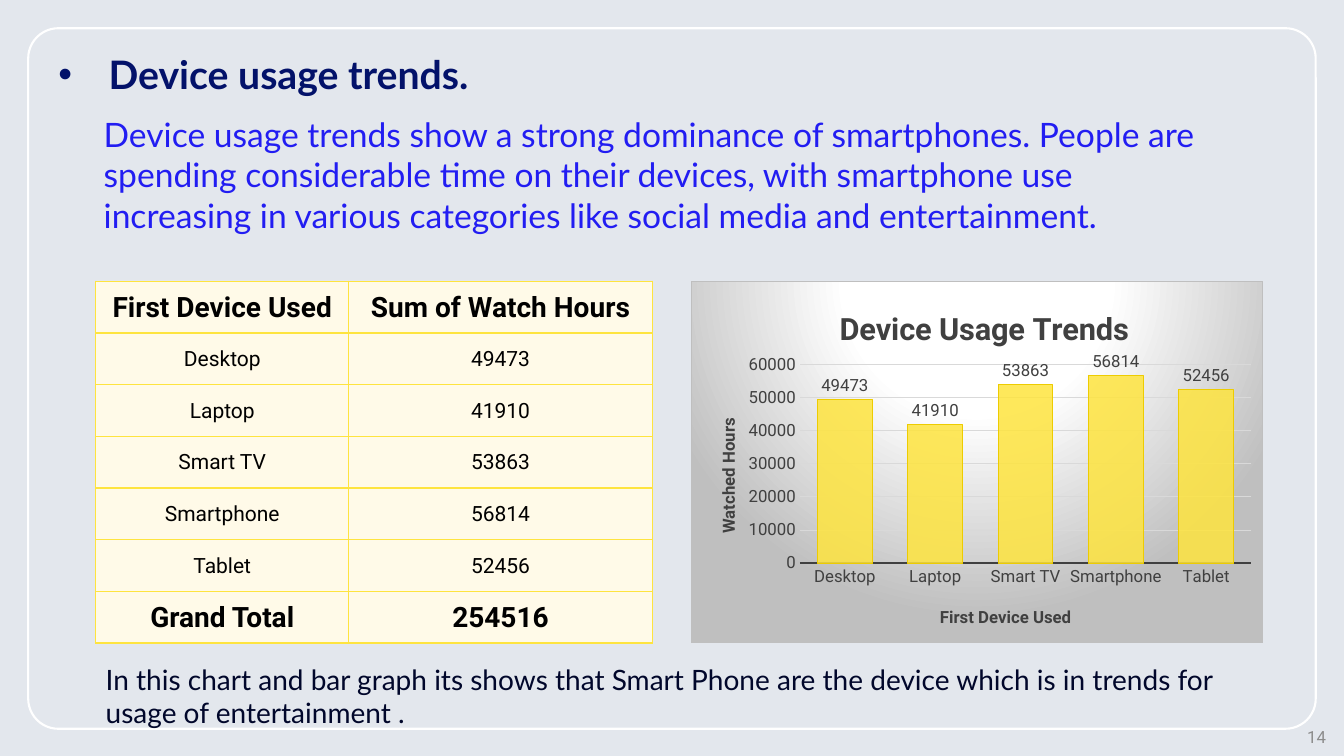
import pptx
import pptx.chart.data
import pptx.dml.color
import pptx.enum.chart
import pptx.enum.shapes
import pptx.enum.text
import pptx.oxml
import pptx.oxml.ns
import pptx.util

Inches = pptx.util.Inches
Pt = pptx.util.Pt
qn = pptx.oxml.ns.qn
Align = pptx.enum.text.PP_ALIGN
Anchor = pptx.enum.text.MSO_ANCHOR

COLOURS = {
    "background": "E3E7ED", "frame": "FFFFFF", "number": "8C8C8C",
    "heading": "03126A", "summary": "221DF2", "note": "01072B",
    "cell": "FFFAE8", "border": "FEE43F", "black": "000000",
    "chart_text": "404040", "grid": "D9D9D9", "chart_edge": "BFBFBF",
    "bar": "FEE43F", "bar_edge": "EDCC01",
}
WATCH_HOURS = {"Desktop": 49473, "Laptop": 41910, "Smart TV": 53863,
               "Smartphone": 56814, "Tablet": 52456}


def colour(name):
    return pptx.dml.color.RGBColor.from_string(COLOURS[name])


def xml(tag, attributes="", inner=""):
    spaces = pptx.oxml.ns.nsdecls("a", "c")
    return pptx.oxml.parse_xml(f"<{tag} {spaces} {attributes}>{inner}</{tag}>")


def set_font(font, size, ink, face="Roboto", bold=False):
    font.size = Pt(size)
    font.name = face
    font.bold = bold
    font.color.rgb = colour(ink)


def set_line(line, ink, width):
    line.color.rgb = colour(ink)
    line.width = Pt(width)


def write(frame, text, align=Align.LEFT, bullet=None, **style):
    para = frame.paragraphs[0]
    para.alignment = align
    if bullet:
        properties = para._p.get_or_add_pPr()
        properties.set("marL", str(Inches(0.5)))
        properties.set("indent", str(-Inches(0.5)))
        properties.append(xml("a:buFont", 'typeface="Arial"'))
        properties.append(xml("a:buChar", f'char="{bullet}"'))
    span = para.add_run()
    span.text = text
    set_font(span.font, **style)


def add_text(page, box, text, anchor=Anchor.TOP, **style):
    frame = page.shapes.add_textbox(*map(Inches, box)).text_frame
    frame.word_wrap = True
    frame.vertical_anchor = anchor
    write(frame, text, **style)


def add_frame(page, box):
    shape = page.shapes.add_shape(
        pptx.enum.shapes.MSO_SHAPE.ROUNDED_RECTANGLE, *map(Inches, box))
    shape.adjustments[0] = 0.043
    shape.shadow.inherit = False
    shape.fill.background()
    set_line(shape.line, "frame", 1.5)


def style_cell(cell):
    cell.margin_left = cell.margin_right = cell.margin_top = Inches(0.01)
    cell.margin_bottom = 0
    cell.vertical_anchor = Anchor.MIDDLE
    ink = f'<a:solidFill><a:srgbClr val="{COLOURS["border"]}"/></a:solidFill>'
    for side in "LRTB":
        cell._tc.get_or_add_tcPr().append(xml(f"a:ln{side}", f'w="{Pt(1)}"', ink))
    cell.fill.solid()
    cell.fill.fore_color.rgb = colour("cell")


def add_hours_table(page, box):
    rows = [("First Device Used", "Sum of Watch Hours"), *WATCH_HOURS.items(),
            ("Grand Total", sum(WATCH_HOURS.values()))]
    table = page.shapes.add_table(len(rows), 2, *map(Inches, box)).table
    for column, width in zip(table.columns, (2.51, box[2] - 2.51)):
        column.width = Inches(width)
    for index, values in enumerate(rows):
        strong = index in (0, len(rows) - 1)
        for cell, value in zip(table.rows[index].cells, values):
            style_cell(cell)
            write(cell.text_frame, str(value), align=Align.CENTER,
                  size=20 if strong else 15, ink="black", bold=strong)


def place(element, position, left, top, size=None):
    parts = {"xMode": "edge", "yMode": "edge", "x": left, "y": top}
    if size:
        parts = {"layoutTarget": "inner", **parts, "w": size[0], "h": size[1]}
    inner = "".join(f'<c:{key} val="{value}"/>' for key, value in parts.items())
    for old in element.findall(qn("c:layout")):
        element.remove(old)
    element.insert(position, xml("c:layout", "", f"<c:manualLayout>{inner}</c:manualLayout>"))


def set_title(title, text, size, left, top):
    write(title.text_frame, text, align=Align.CENTER, size=size,
          ink="chart_text", bold=True)
    place(title._element, 1, left, top)


def set_axis(axis, text, left, top):
    axis.major_tick_mark = pptx.enum.chart.XL_TICK_MARK.NONE
    set_font(axis.tick_labels.font, 12, "chart_text")
    set_title(axis.axis_title, text, 12, left, top)


def fill_chart_area(chart):
    stops = "".join(
        f'<a:gs pos="{at * 1000}"><a:srgbClr val="{COLOURS[name]}"/></a:gs>'
        for at, name in ((0, "frame"), (39, "frame"), (100, "chart_edge")))
    edge = f'<a:solidFill><a:srgbClr val="{COLOURS["chart_edge"]}"/></a:solidFill>'
    area = xml("c:spPr", "", f'<a:gradFill><a:gsLst>{stops}</a:gsLst><a:path path="circle">'
               '<a:fillToRect l="50000" t="-80000" r="50000" b="180000"/></a:path>'
               f'</a:gradFill><a:ln w="{Pt(0.75)}">{edge}</a:ln>')
    chart._chartSpace.find(qn("c:chart")).addnext(area)


def add_hours_chart(page, box):
    data = pptx.chart.data.CategoryChartData()
    data.categories = list(WATCH_HOURS)
    data.add_series("Series 1", list(WATCH_HOURS.values()))
    chart = page.shapes.add_chart(pptx.enum.chart.XL_CHART_TYPE.COLUMN_CLUSTERED,
                                  *map(Inches, box), data).chart
    set_font(chart.font, 10, "black")
    chart.has_legend = False
    fill_chart_area(chart)
    set_title(chart.chart_title, "Device Usage Trends", 22, 0.25, 0.06)
    place(chart._chartSpace.find(".//" + qn("c:plotArea")), 0, 0.19, 0.23, (0.79, 0.55))

    set_axis(chart.category_axis, "First Device Used", 0.43, 0.89)
    set_line(chart.category_axis.format.line, "chart_text", 1.5)
    hours = chart.value_axis
    set_axis(hours, "Watched Hours", 0.04, 0.37)
    hours.axis_title.text_frame._txBody.bodyPr.set("rot", "-5400000")
    hours.format.line.fill.background()
    hours.minimum_scale, hours.maximum_scale, hours.major_unit = 0, 60000, 10000
    set_line(hours.major_gridlines.format.line, "grid", 0.75)

    plot = chart.plots[0]
    plot.gap_width = 65
    plot.vary_by_categories = False
    bars = plot.series[0]
    bars.format.fill.solid()
    bars.format.fill.fore_color.rgb = colour("bar")
    bars.format.fill._xPr.find(".//" + qn("a:srgbClr")).append(xml("a:alpha", 'val="85000"'))
    set_line(bars.format.line, "bar_edge", 0.75)
    labels = bars.data_labels
    labels.show_value = True
    labels.position = pptx.enum.chart.XL_LABEL_POSITION.OUTSIDE_END
    set_font(labels.font, 12, "chart_text")


def add_device_page(deck):
    page = deck.slides.add_slide(deck.slide_layouts[6])
    page.background.fill.solid()
    page.background.fill.fore_color.rgb = colour("background")
    add_frame(page, (0.28, 0.28, 12.77, 6.95))
    add_text(page, (10.25, 7.18, 3, 0.25), "14", anchor=Anchor.MIDDLE,
             align=Align.RIGHT, size=12, ink="number")
    add_text(page, (0.48, 0.45, 4.47, 0.57), "Device usage trends.", bullet="•",
             size=28, ink="heading", face="Lato", bold=True)
    add_hours_table(page, (0.95, 2.79, 5.52, 3.59))
    add_hours_chart(page, (6.85, 2.79, 5.68, 3.59))
    add_text(page, (0.93, 1.08, 11.09, 1.31),
             "Device usage trends show a strong dominance of smartphones. People are "
             "spending considerable time on their devices, with smartphone use "
             "increasing in various categories like social media and entertainment.",
             size=24, ink="summary", face="Lato")
    add_text(page, (0.95, 6.52, 11.58, 0.77),
             "In this chart and bar graph its shows that Smart Phone are the device "
             "which is in trends for usage of entertainment .",
             size=20, ink="note", face="Lato")


def main():
    deck = pptx.Presentation()
    deck.slide_width = Inches(13.33)
    deck.slide_height = Inches(7.5)
    add_device_page(deck)
    deck.save("out.pptx")


if __name__ == "__main__":
    main()
